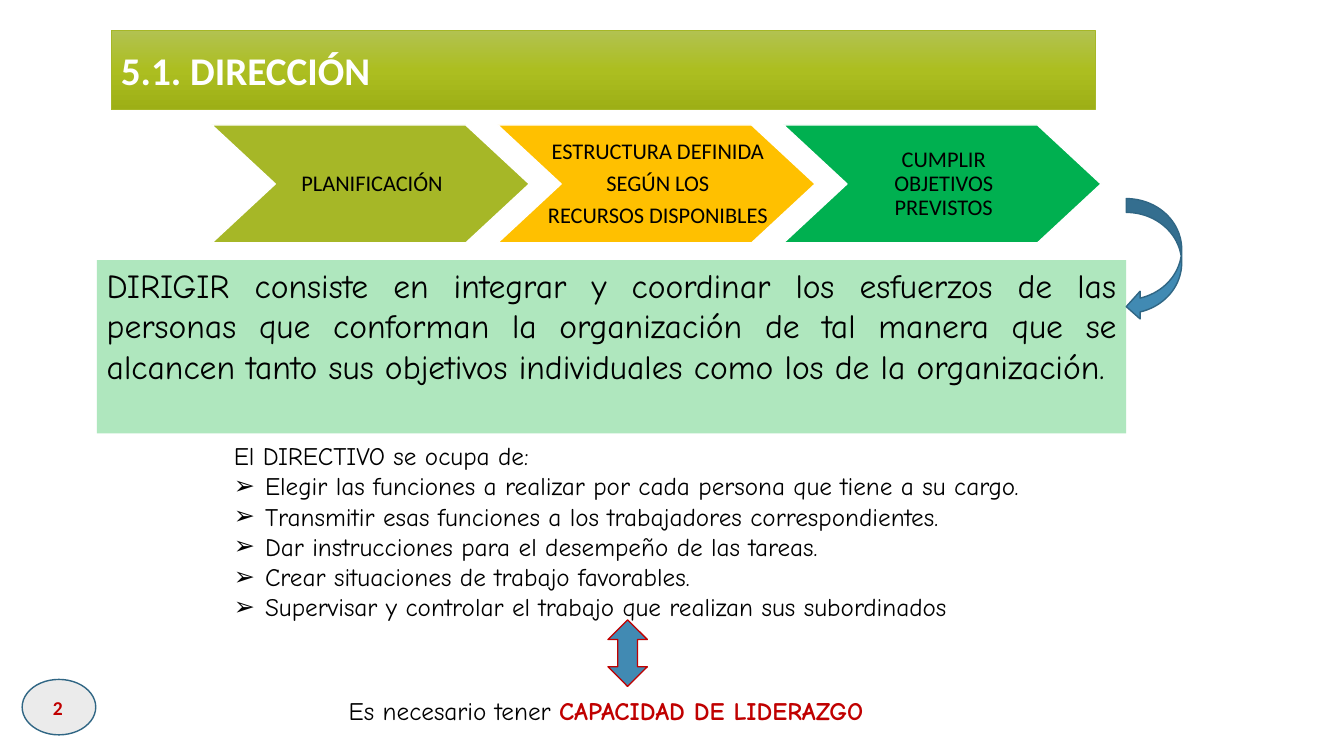
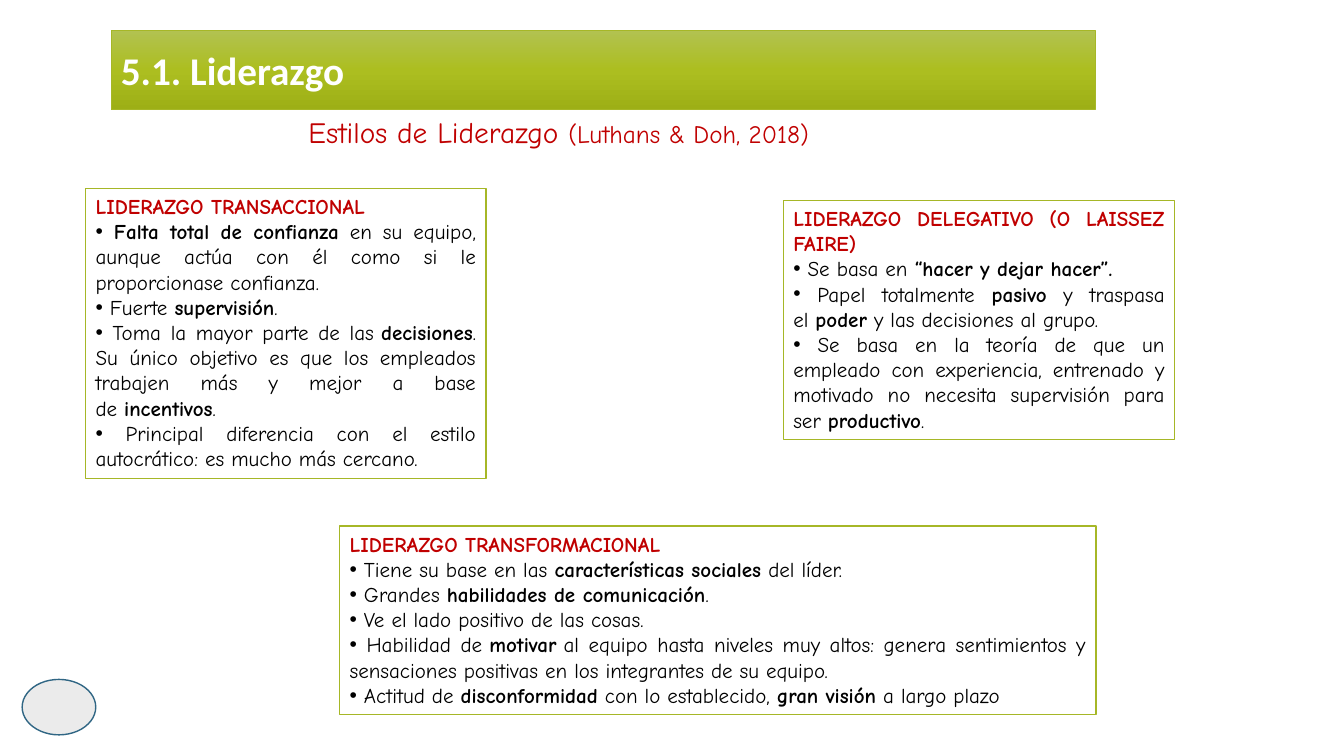
from lxml import etree
from pptx import Presentation
from pptx import util as u
from pptx.dml.color import RGBColor
from pptx.enum import shapes, text
from pptx.oxml.ns import qn

GREEN = RGBColor(0xA6, 0xB7, 0x27)
AMBER = RGBColor(0xFF, 0xC0, 0x00)
EMERALD = RGBColor(0x00, 0xB0, 0x50)
MINT = RGBColor(0xAF, 0xE7, 0xBE)
BLUE = RGBColor(0x41, 0x8A, 0xB3)
DARK_BLUE = RGBColor(0x30, 0x66, 0x84)
RED = RGBColor(0xC0, 0x00, 0x00)
GREY = RGBColor(0xEB, 0xEB, 0xEB)
WHITE = RGBColor(0xFF, 0xFF, 0xFF)
BLACK = RGBColor(0x00, 0x00, 0x00)
BAND_STOPS = [(0, RGBColor(0xB2, 0xC2, 0x51)), (50, RGBColor(0xAC, 0xBE, 0x20)),
              (100, RGBColor(0x9D, 0xAF, 0x16))]

SHAPE = shapes.MSO_SHAPE
ALIGN = text.PP_ALIGN
TOP, MIDDLE = text.MSO_ANCHOR.TOP, text.MSO_ANCHOR.MIDDLE
HARD_SPACE = chr(160)

# Content: *strong* words, ~ for a non-breaking space
STEPS = [
    (["PLANIFICACIÓN"], GREEN, True),
    (["ESTRUCTURA DEFINIDA", "SEGÚN LOS", "RECURSOS DISPONIBLES"], AMBER, False),
    (["CUMPLIR OBJETIVOS PREVISTOS"], EMERALD, True),
]
DEFINITION = ("DIRIGIR consiste en integrar y coordinar los esfuerzos de las personas "
              "que conforman la organización de tal manera que se alcancen tanto sus "
              "objetivos individuales como los de la organización.")
TASKS_LEAD = "El DIRECTIVO se ocupa de:"
TASKS = [
    "Elegir las funciones a realizar por cada persona que tiene a su cargo.",
    "Transmitir esas funciones a los trabajadores correspondientes.",
    "Dar instrucciones para el desempeño de las tareas.",
    "Crear situaciones de trabajo favorables.",
    "Supervisar y controlar el trabajo que realizan sus subordinados",
]
CONCLUSION = "Es necesario tener *CAPACIDAD DE LIDERAZGO*"
STYLES_TITLE = "Estilos de Liderazgo *(Luthans & Doh, 2018)*"
STYLES = [
    ("LIDERAZGO TRANSACCIONAL", (0.85, 1.87, 3.97, 2.88), [
        "*Falta total de confianza* en su equipo, aunque actúa con él como si le "
        "proporcionase confianza.",
        "Fuerte~*supervisión*.",
        "Toma la mayor parte de las~*decisiones*. Su único objetivo es que los "
        "empleados trabajen más y mejor a base de~*incentivos*.",
        "Principal diferencia con el estilo autocrático: es mucho más cercano.",
    ]),
    ("LIDERAZGO TRANSFORMACIONAL", (3.37, 5.22, 7.5, 1.87), [
        "Tiene su base en las *características sociales* del líder.",
        "Grandes *habilidades de comunicación*.",
        "Ve el lado positivo de las cosas.",
        "Habilidad de~*motivar*~al equipo hasta niveles muy altos: genera "
        "sentimientos y sensaciones positivas en los integrantes de su equipo.",
        "Actitud de *disconformidad* con lo establecido, *gran visión* a largo plazo",
    ]),
    ("LIDERAZGO DELEGATIVO (O LAISSEZ FAIRE)", (7.77, 1.99, 3.88, 2.37), [
        "Se basa en *“hacer y dejar hacer”.*",
        "Papel totalmente *pasivo* y traspasa el~*poder*~y las decisiones al grupo.",
        "Se basa en la teoría de que un empleado con experiencia, entrenado y motivado "
        "no necesita supervisión para ser~*productivo*.",
    ]),
]

# Text formats
BODY = dict(name="Comic Neue", size=u.Pt(18), bold=False, color=BLACK)
LABEL = dict(name="Calibri", size=u.Pt(16), bold=False, color=BLACK)
TITLE = dict(name="Calibri", size=u.Pt(28), bold=True, color=WHITE)
NUMBER = dict(name="Calibri", size=u.Pt(14), bold=True, color=RED)
PANEL = dict(BODY, size=u.Pt(15))
STRONG = dict(bold=True)


def set_attrs(obj, values):
    for key, value in values.items():
        if key == "color":
            obj.color.rgb = value
        else:
            setattr(obj, key, value)


def add_box(s, box, kind=None, fill=None, line=None, width=1, **frame):
    """Preset shape, or a text box when no kind is given."""
    place = [u.Inches(n) for n in box]
    if kind is None:
        sp = s.shapes.add_textbox(*place)
    else:
        sp = s.shapes.add_shape(kind, *place)
        sp.shadow.inherit = False
        if fill is not None:
            sp.fill.solid()
            sp.fill.fore_color.rgb = fill
        if line is None:
            sp.line.fill.background()
        else:
            sp.line.color.rgb = line
            sp.line.width = u.Pt(width)
    set_attrs(sp.text_frame, dict(dict(word_wrap=True, vertical_anchor=TOP), **frame))
    return sp


def add_bullet(p, char, indent):
    pPr = p._p.get_or_add_pPr()
    pPr.set("marL", str(u.Inches(indent)))
    pPr.set("indent", str(-u.Inches(indent)))
    etree.SubElement(pPr, qn("a:buFont")).set("typeface", "Arial")
    etree.SubElement(pPr, qn("a:buChar")).set("char", char)


def write(sp, content, base, strong=STRONG, bullet=None, indent=0, **para):
    """Append one paragraph; the first one fills the empty paragraph."""
    tf = sp.text_frame
    p = tf.paragraphs[0] if not tf.text else tf.add_paragraph()
    if bullet:
        add_bullet(p, bullet, indent)
    set_attrs(p, dict(dict(alignment=ALIGN.JUSTIFY), **para))
    for i, part in enumerate(content.replace("~", HARD_SPACE).split("*")):
        if part:
            r = p.add_run()
            r.text = part
            set_attrs(r.font, dict(base, **strong) if i % 2 else base)


def add_base(prs, title, number=None):
    """Slide with the title band and the page-number badge."""
    s = prs.slides.add_slide(prs.slide_layouts[6])
    add_box(s, (0.22, 6.74, 0.73, 0.55), SHAPE.OVAL, GREY, DARK_BLUE)
    if number:
        badge = add_box(s, (0.05, 6.82, 1.05, 0.4), vertical_anchor=MIDDLE)
        write(badge, number, NUMBER, alignment=ALIGN.CENTER)

    band = add_box(s, (1.1, 0.3, 9.76, 0.79), SHAPE.RECTANGLE, line=GREEN, width=0.5,
                   vertical_anchor=MIDDLE)
    band.fill.gradient()
    band.fill.gradient_angle = 270
    stops = band._element.spPr.find(".//" + qn("a:gsLst"))
    stops.clear()
    for share, color in BAND_STOPS:
        stop = etree.SubElement(stops, qn("a:gs"), pos=str(share * 1000))
        etree.SubElement(stop, qn("a:srgbClr"), val=str(color))
    write(band, title, TITLE)
    return s


def build_direction(prs):
    s = add_base(prs, "5.1. DIRECCIÓN", "2")

    # Process chevrons
    left, pitch, width, height, tip = 2.1, 2.835, 3.15, 1.17, 0.63
    for i, (lines, color, wrap) in enumerate(STEPS):
        sp = add_box(s, (left + i * pitch, 1.24, width, height), SHAPE.CHEVRON, color, WHITE,
                     vertical_anchor=MIDDLE, word_wrap=wrap,
                     margin_left=u.Inches(0.03), margin_right=0,
                     margin_top=u.Inches(0.02), margin_bottom=u.Inches(0.02))
        sp.adjustments[0] = tip / height
        for line in lines:
            write(sp, line, LABEL, alignment=ALIGN.CENTER, line_spacing=0.9,
                  space_after=u.Pt(5.5))

    # Definition, tasks and conclusion
    sp = add_box(s, (0.96, 2.58, 10.21, 1.72), SHAPE.RECTANGLE, MINT)
    write(sp, DEFINITION, dict(BODY, size=u.Pt(24)))
    sp = add_box(s, (2.22, 4.32, 8.58, 1.92))
    write(sp, TASKS_LEAD, BODY)
    for task in TASKS:
        write(sp, task, BODY, bullet="➢", indent=0.31)
    sp = add_box(s, (3.36, 6.85, 6.06, 0.4))
    write(sp, CONCLUSION, BODY, dict(bold=True, color=RED))

    # Arrows
    add_box(s, (11.17, 1.97, 0.55, 1.21), SHAPE.CURVED_LEFT_ARROW, BLUE, DARK_BLUE)
    add_box(s, (6.03, 6.15, 0.39, 0.66), SHAPE.UP_DOWN_ARROW, BLUE, RED)


def build_leadership(prs):
    s = add_base(prs, "5.1. Liderazgo")
    sp = add_box(s, (2.96, 1.08, 6.66, 0.45))
    write(sp, STYLES_TITLE, dict(BODY, size=u.Pt(21), color=RED),
          dict(size=u.Pt(18)), alignment=ALIGN.LEFT)

    # Leadership style panels
    for heading, box, traits in STYLES:
        sp = add_box(s, box, SHAPE.RECTANGLE, WHITE, GREEN)
        write(sp, heading, dict(PANEL, bold=True, color=RED))
        for trait in traits:
            write(sp, " " + trait, PANEL, bullet="•")


def main():
    prs = Presentation()
    prs.slide_width, prs.slide_height = u.Inches(13.33), u.Inches(7.5)
    build_direction(prs)
    build_leadership(prs)
    prs.save("out.pptx")


if __name__ == "__main__":
    main()
